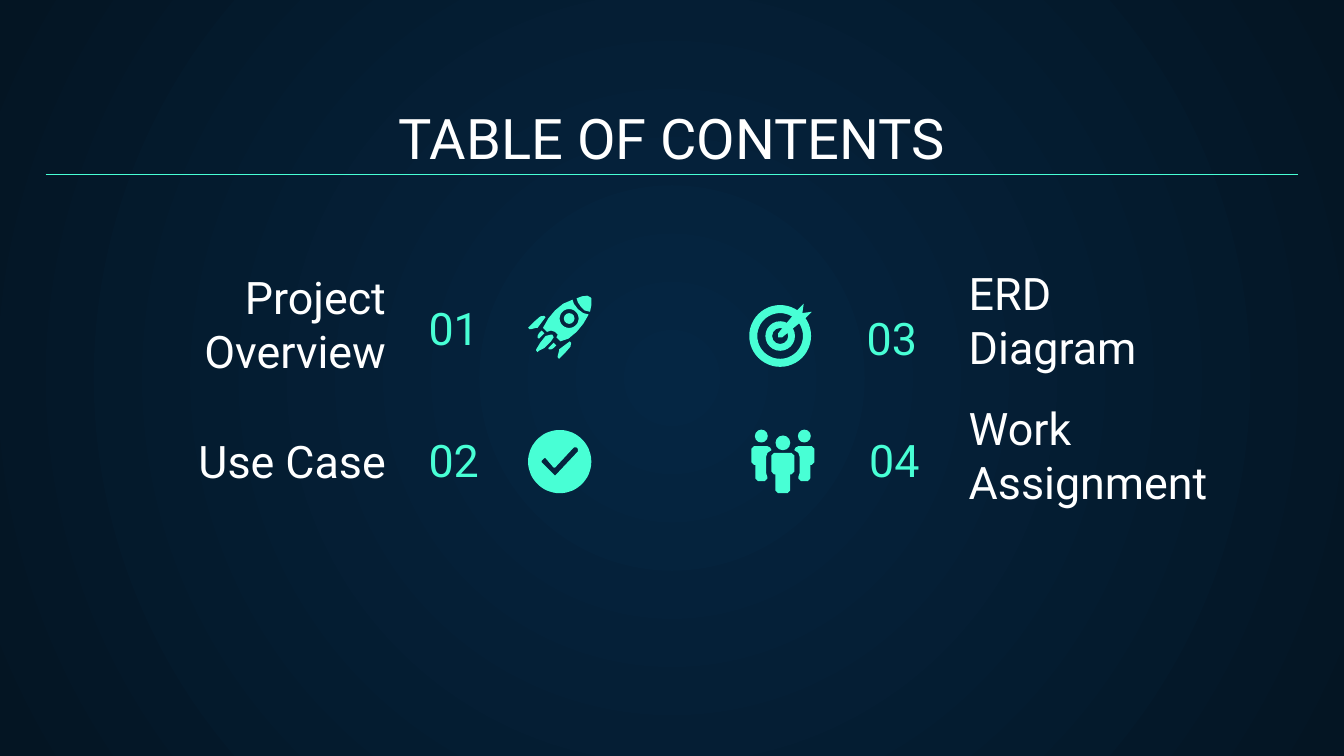
from math import cos, pi, sin

from lxml import etree
from pptx import Presentation
from pptx.dml.color import RGBColor
from pptx.enum.shapes import MSO_CONNECTOR, MSO_SHAPE
from pptx.enum.text import MSO_ANCHOR, PP_ALIGN
from pptx.oxml.ns import qn
from pptx.util import Inches, Pt

LEFT, CENTER, RIGHT = PP_ALIGN.LEFT, PP_ALIGN.CENTER, PP_ALIGN.RIGHT
BOTTOM = MSO_ANCHOR.BOTTOM
OVAL, DONUT = MSO_SHAPE.OVAL, MSO_SHAPE.DONUT
STRAIGHT = MSO_CONNECTOR.STRAIGHT

WHITE = RGBColor(0xFF, 0xFF, 0xFF)
MINT = RGBColor(0x48, 0xFF, 0xD5)
NAVY = RGBColor(0x05, 0x26, 0x43)
NIGHT = RGBColor(0x04, 0x15, 0x23)

WIDTH = 10
HEIGHT = WIDTH * 9 / 16
MARGIN = 0.34
LABEL_WIDTH, NUMBER_WIDTH, NUMBER_HEIGHT = 2.27, 1.29, 0.66
LABEL_COLUMNS = 0.7, 7.11
ICON_COLUMNS = 3.93, 5.59
ICON_ROWS = 2.2, 3.2
ICON_SIZE = 47  # icon outlines are drawn in hundredths of an inch

# label, alignment, left, top, height
LABELS = [
    ("Project Overview", RIGHT, LABEL_COLUMNS[0], 2.08, 0.83),
    ("Use Case", RIGHT, LABEL_COLUMNS[0], 3.39, 0.34),
    ("ERD\nDiagram", LEFT, LABEL_COLUMNS[1], 2.67, 0.21),
    ("Work Assignment", LEFT, LABEL_COLUMNS[1], 3.67, 0.21),
]
# number, alignment, left, top
NUMBERS = [
    ("01", LEFT, 3.09, 2.08),
    ("02", LEFT, 3.09, 3.06),
    ("03", LEFT, 6.35, 2.15),
    ("04", RIGHT, 5.65, 3.06),
]

ROCKET_FIN = [(12, 15), (9, 15.5), (5, 19), (1, 23), (0, 24), (1, 25), (2, 25),
              (6, 24), (7, 24), (10, 20), (13, 16)]
ROCKET_SPARK = [(10, 26), (8, 28), (7, 30), (7, 31.5), (8, 32), (11, 29), (12, 28)]
ROCKET_FLAME = [(17, 29), (13, 30), (9, 35), (6, 40), (6, 41), (7, 42), (8, 41),
                (12, 39), (17, 34), (19, 31), (18, 29)]
ROCKET_NOSE = [(36, 2), (40, 0.5), (44, 0), (46, 1), (47, 2), (47, 7), (46, 12),
               (42, 11), (39, 8), (37, 5)]
ROCKET_BODY = [(11, 24), (15, 17), (20, 11), (26, 6), (33, 3), (34, 6), (37, 10),
               (41, 13), (45, 14), (41, 21), (36, 27), (30, 32), (24, 34), (21, 31),
               (22, 29), (20, 27), (17, 26), (14, 27)]
CHECK_MARK = [(35, 13), (36, 13), (37, 14), (37, 16), (21, 33), (20, 34), (19, 33),
              (10, 24), (10, 23), (12, 21), (13, 21), (19, 28), (20, 28), (34, 13)]
ARROW = [(20, 28), (34, 11), (39, 6), (38, 13), (45, 12), (40, 17), (23, 31), (20, 31)]
SIDE_PERSON = [(2, 12), (12, 12), (14, 13), (15, 15), (12, 17), (11, 20), (11, 32),
               (12, 35), (12, 36), (10, 38), (5, 38), (3, 36), (3, 26), (2, 26),
               (0, 24), (0, 14)]
FRONT_PERSON = [(17, 17), (30, 17), (32, 19), (32, 31), (30, 33), (29, 33), (29, 45),
                (27, 47), (20, 47), (18, 45), (18, 33), (17, 33), (15, 31), (15, 19)]


def flip_sides(outline):
    return [(ICON_SIZE - x, y) for x, y in outline]


def flip_diagonal(outline):
    """Reflect an outline across the rocket's axis."""
    return [(ICON_SIZE - y, ICON_SIZE - x) for x, y in outline]


def circle(x, y, radius, steps=60):
    angles = [2 * pi * step / steps for step in range(steps)]
    return [(x + radius * cos(a), y + radius * sin(a)) for a in angles]


def paint(shape):
    shape.shadow.inherit = False
    shape.fill.solid()
    shape.fill.fore_color.rgb = MINT
    shape.line.fill.background()


class Icon:
    """A group of mint shapes placed in hundredths of an inch from its corner."""

    def __init__(self, slide, left, top):
        self.left, self.top = left, top
        self.shapes = slide.shapes.add_group_shape().shapes

    def outline(self, *contours):
        """Fill the first contour; the others are holes in it."""
        fine = [[(x * 10, y * 10) for x, y in contour] for contour in contours]
        builder = self.shapes.build_freeform(*fine[0][0], scale=Inches(1) / 1000)
        builder.add_line_segments(fine[0][1:])
        for hole in fine[1:]:
            builder.move_to(*hole[0])
            builder.add_line_segments(hole[1:])
        paint(builder.convert_to_shape(Inches(self.left), Inches(self.top)))

    def disc(self, x, y, radius, hole=0):
        size = Inches(radius / 50)
        shape = self.shapes.add_shape(
            DONUT if hole else OVAL,
            Inches(self.left + (x - radius) / 100),
            Inches(self.top + (y - radius) / 100), size, size)
        if hole:
            shape.adjustments[0] = (radius - hole) / (2 * radius)
        paint(shape)


def draw_rocket(icon):
    for part in (ROCKET_FIN, ROCKET_SPARK):
        icon.outline(part)
        icon.outline(flip_diagonal(part))
    icon.outline(ROCKET_FLAME)
    icon.outline(ROCKET_NOSE)
    icon.outline(ROCKET_BODY, circle(30.5, 17, 7))
    icon.disc(30.5, 17, 4)


def draw_check(icon):
    icon.outline(circle(23.5, 23.5, 23.5), CHECK_MARK)


def draw_target(icon):
    icon.disc(21.5, 30, 23, hole=17)
    icon.disc(21.5, 30, 11, hole=6)
    icon.outline(ARROW)


def draw_team(icon):
    icon.outline(SIDE_PERSON)
    icon.outline(flip_sides(SIDE_PERSON))
    icon.outline(FRONT_PERSON)
    for x, y, radius in ((7.5, 4.5, 4.8), (39.5, 4.5, 4.8), (23.5, 9.5, 5.5)):
        icon.disc(x, y, radius)


def add_text(slide, text, left, top, width, height, align, size=24, color=WHITE):
    frame = slide.shapes.add_textbox(
        Inches(left), Inches(top), Inches(width), Inches(height)).text_frame
    frame.word_wrap = True
    frame.vertical_anchor = BOTTOM
    frame.margin_left = frame.margin_right = Inches(0.1)
    frame.margin_top = frame.margin_bottom = Inches(0.1)
    frame.text = text
    for paragraph in frame.paragraphs:
        paragraph.alignment = align
        paragraph.font.name = "Roboto"
        paragraph.font.size = Pt(size)
        paragraph.font.color.rgb = color


def add_rule(slide, y):
    rule = slide.shapes.add_connector(
        STRAIGHT, Inches(MARGIN), Inches(y), Inches(WIDTH - MARGIN), Inches(y))
    rule.line.color.rgb = MINT
    rule.line.width = Pt(0.75)
    etree.SubElement(rule._element.spPr, qn("a:effectLst"))


def set_radial_background(slide):
    fill = slide.background.fill
    fill.gradient()
    for stop, color in zip(fill.gradient_stops, (NAVY, NIGHT)):
        stop.color.rgb = color
    linear = next(slide._element.iter(qn("a:lin")))
    gradient = linear.getparent()
    gradient.remove(linear)
    radial = etree.SubElement(gradient, qn("a:path"), {"path": "circle"})
    center = dict.fromkeys("ltrb", "50000")
    etree.SubElement(radial, qn("a:fillToRect"), center)


def main():
    deck = Presentation()
    deck.slide_width, deck.slide_height = Inches(WIDTH), Inches(HEIGHT)
    slide = deck.slides.add_slide(deck.slide_layouts[6])
    set_radial_background(slide)
    add_text(slide, "TABLE OF CONTENTS", MARGIN, 0.71, WIDTH - 2 * MARGIN, 0.66,
             CENTER, size=30)
    for number, align, left, top in NUMBERS:
        add_text(slide, number, left, top, NUMBER_WIDTH, NUMBER_HEIGHT, align,
                 color=MINT)
    for label, align, left, top, height in LABELS:
        add_text(slide, label, left, top, LABEL_WIDTH, height, align)
    icons = ((draw_rocket, draw_target), (draw_check, draw_team))
    for top, row in zip(ICON_ROWS, icons):
        for left, draw in zip(ICON_COLUMNS, row):
            draw(Icon(slide, left, top))
    add_rule(slide, 1.3)
    deck.save("out.pptx")


if __name__ == "__main__":
    main()
